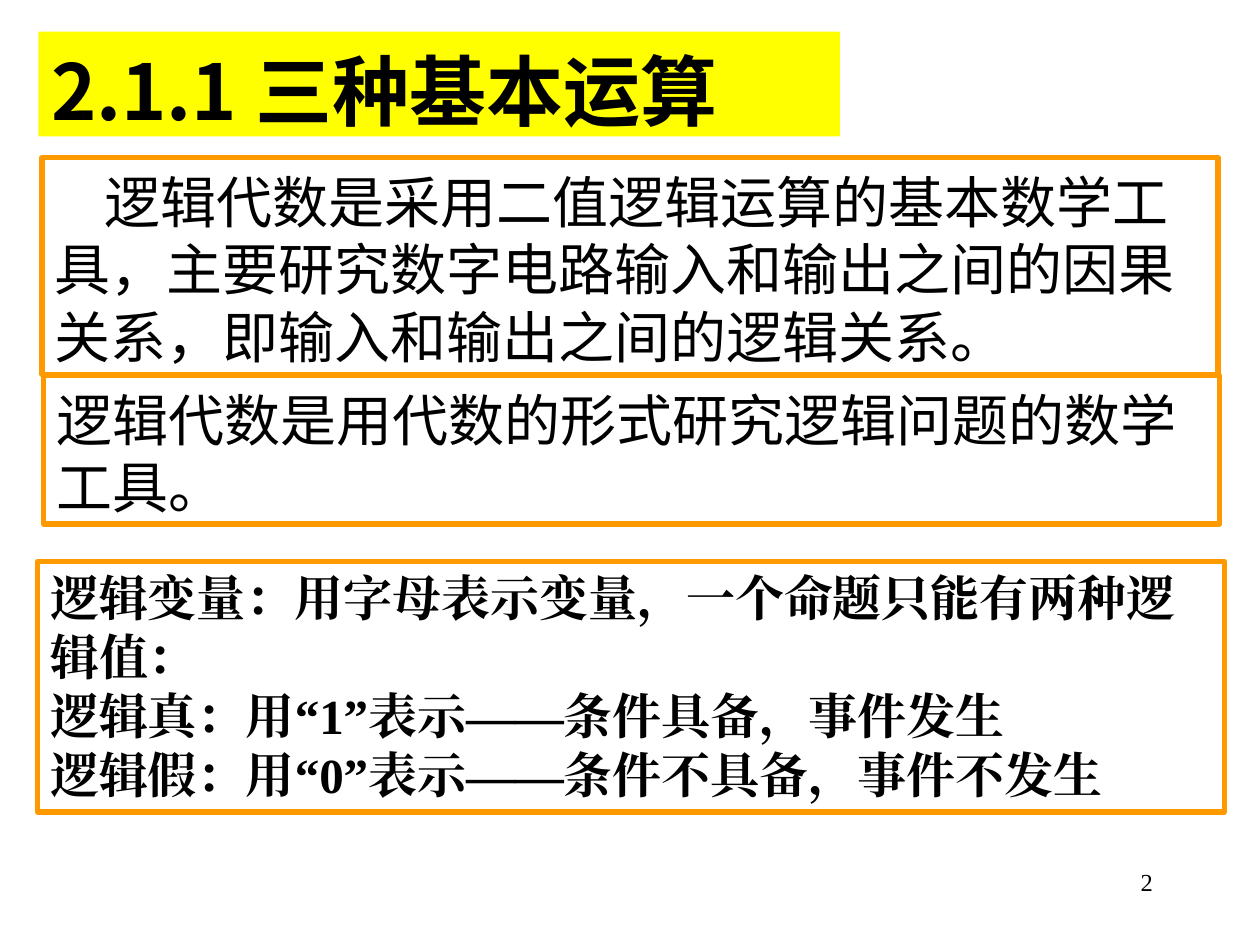
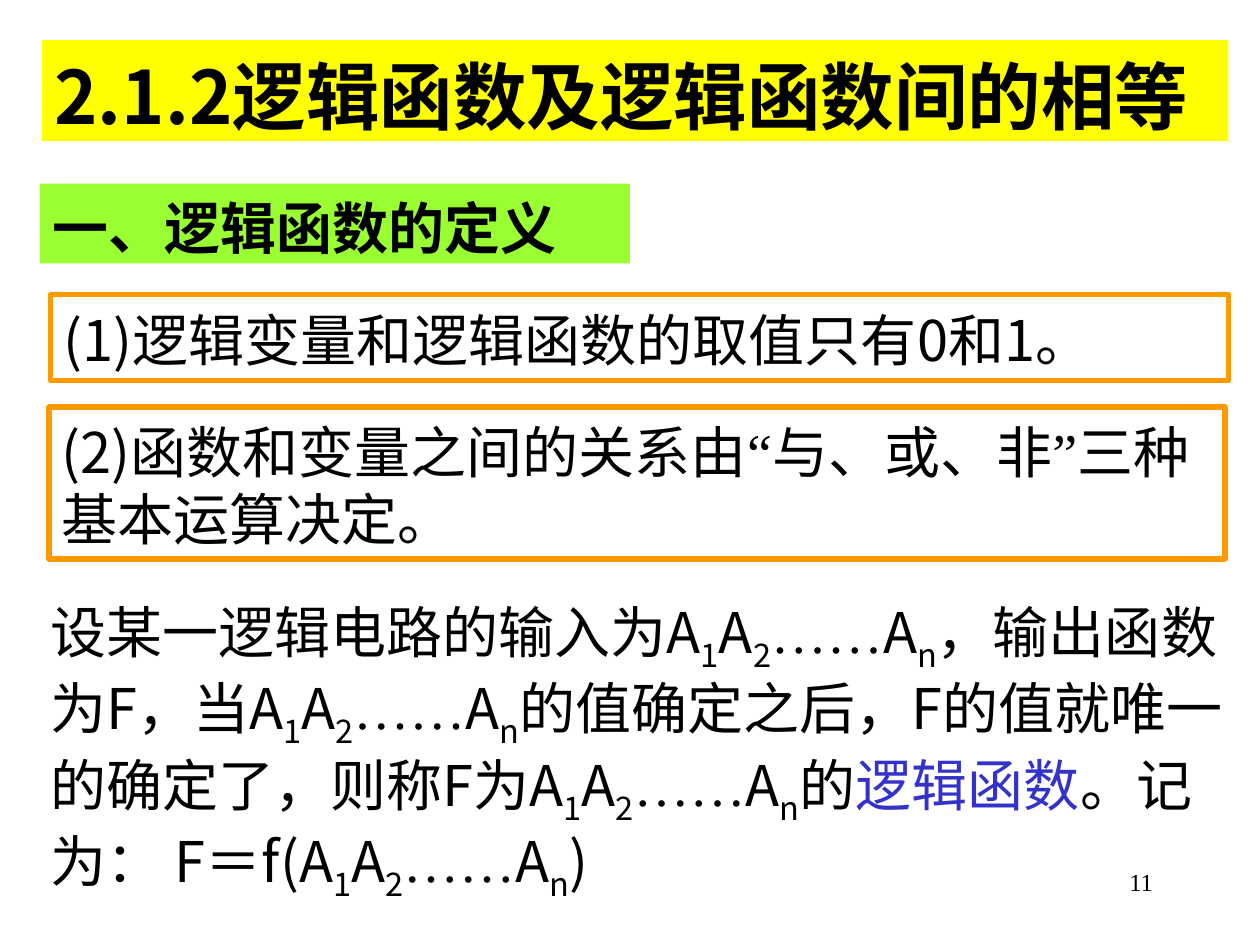
from dataclasses import dataclass
from typing import Any

from pptx import Presentation
from pptx.dml.color import RGBColor
from pptx.enum.shapes import MSO_SHAPE as Kind
from pptx.enum.text import MSO_ANCHOR as Anchor, MSO_AUTO_SIZE as Fit, PP_ALIGN as Align
from pptx.util import Pt

SANS, SERIF = "Noto Sans CJK SC", "Times New Roman"
BLACK, BLUE = "000000", "3333CC"
YELLOW, GREEN, ORANGE = "FFFF00", "99FF33", "FF9900"
INSET = 3.6
DROP = 0.07  # shift of the sans baseline, in ems

Part = tuple[str, dict[str, Any]]
Para = list[Part]


@dataclass
class Box:
    left: float
    top: float
    width: float
    height: float
    paras: list[Para]
    size: float = 32
    font: str = SANS
    bold: bool = False
    fill: str | None = None
    line: str | None = None
    indent: float = 0
    lead: float = 1.2


@dataclass
class Page:
    title: Box
    boxes: list[Box]
    number: str


def color(code: str) -> RGBColor:
    return RGBColor.from_string(code)


def plain(*lines: str) -> list[Para]:
    return [[(line, {})] for line in lines]


def add_run(para, text: str, size: float = 32, font: str = SANS, bold: bool = False,
            ink: str = BLACK, base: int = 0) -> None:
    """Add text in one format; base is the baseline shift in percent."""
    run = para.add_run()
    run.text = text
    run.font.size = Pt(size)
    run.font.bold = bold
    run.font.color.rgb = color(ink)
    run.font.name = font
    props = run._r.get_or_add_rPr()
    if base:
        props.set("baseline", str(base * 1000))
    latin = props.find("{*}latin")
    east = latin.makeelement(latin.tag.replace("latin", "ea"), {"typeface": font})
    latin.addnext(east)


def write(shape, box: Box, anchor: Anchor = Anchor.TOP, align: Align = Align.LEFT) -> None:
    frame = shape.text_frame
    frame.word_wrap = True
    frame.auto_size = Fit.NONE
    frame.vertical_anchor = anchor
    shift = DROP * box.size if box.font == SANS else 0
    frame.margin_left = frame.margin_right = Pt(2 * INSET)
    frame.margin_top = Pt(INSET + shift)
    frame.margin_bottom = Pt(INSET - shift)
    for i, parts in enumerate(box.paras):
        para = frame.add_paragraph() if i else frame.paragraphs[0]
        para.alignment = align
        para.line_spacing = Pt(box.lead * box.size)
        para.space_before = para.space_after = Pt(0)
        if box.indent:
            para._p.get_or_add_pPr().set("indent", str(Pt(box.indent)))
        for text, style in parts:
            add_run(para, text, **{"size": box.size, "font": box.font,
                                   "bold": box.bold, **style})


def place(box: Box) -> tuple[Pt, Pt, Pt, Pt]:
    return Pt(box.left), Pt(box.top), Pt(box.width), Pt(box.height)


def draw_title(slide, box: Box) -> None:
    shape = slide.shapes.title
    shape.left, shape.top, shape.width, shape.height = place(box)
    shape.fill.solid()
    shape.fill.fore_color.rgb = color(YELLOW)
    write(shape, box, Anchor.BOTTOM)


def draw_box(slide, box: Box) -> None:
    if not (box.fill or box.line):
        write(slide.shapes.add_textbox(*place(box)), box)
        return
    shape = slide.shapes.add_shape(Kind.RECTANGLE, *place(box))
    shape.shadow.inherit = False
    if box.fill:
        shape.fill.solid()
        shape.fill.fore_color.rgb = color(box.fill)
    else:
        shape.fill.background()
    if box.line:
        shape.line.color.rgb = color(box.line)
        shape.line.width = Pt(3)
    else:
        shape.line.fill.background()
    write(shape, box)


def draw_number(slide, text: str) -> None:
    box = Box(516, 492, 150, 36, plain(text), 14, SERIF)
    write(slide.shapes.add_textbox(*place(box)), box, align=Align.RIGHT)


def inputs(before: str) -> Para:
    """Text that ends in A, followed by the rest of the input list A1A2……An."""
    sub = {"base": -25}
    return [(before + "A", {}), ("1", sub), ("A", {}), ("2", sub),
            ("……", {"font": SERIF}), ("A", {}), ("n", sub)]


QUOTE = {"font": SERIF}
RULE = [("(2)函数和变量之间的关系由", {}), ("“", QUOTE), ("与、或、非", {}),
        ("”", QUOTE), ("三种基本运算决定。", {})]
MEANING = [
    *inputs("设某一逻辑电路的输入为"),
    *inputs("，输出函数为F，当"),
    *inputs("的值确定之后，F的值就唯一的确定了，则称F为"),
    ("的", {}), ("逻辑函数", {"ink": BLUE}),
    *inputs("。记为： F＝f("), (")", {}),
]

PAGES = [
    Page(
        Box(22, 18, 458, 60, plain("2.1.1 三种基本运算"), 44, bold=True),
        [
            Box(24, 90, 672, 124, plain(
                "逻辑代数是采用二值逻辑运算的基本数学工具，主要研究数字电路输入和输出之间的"
                "因果关系，即输入和输出之间的逻辑关系。"), line=ORANGE, indent=28.5),
            Box(21.6, 321, 678, 143, plain(
                "逻辑变量：用字母表示变量，一个命题只能有两种逻辑值：",
                "逻辑真：用“1”表示——条件具备，事件发生",
                "逻辑假：用“0”表示——条件不具备，事件不发生"),
                28, SERIF, True, line=ORANGE),
            Box(25, 214.5, 672, 85, plain(
                "逻辑代数是用代数的形式研究逻辑问题的数学工具。"), line=ORANGE),
        ],
        "2",
    ),
    Page(
        Box(24, 23, 678, 57.5, plain("2.1.2逻辑函数及逻辑函数间的相等"), 42, bold=True),
        [
            Box(23, 105, 337, 45.5, plain("一、逻辑函数的定义"), bold=True, fill=GREEN),
            Box(29, 168.5, 673, 49, plain("(1)逻辑变量和逻辑函数的取值只有0和1。"),
                line=ORANGE),
            Box(28, 232.5, 672, 87, [RULE], line=ORANGE),
            Box(21.6, 336, 690, 160.5, [MEANING], lead=1.36),
        ],
        "11",
    ),
]


def main() -> None:
    deck = Presentation()
    deck.slide_width, deck.slide_height = Pt(720), Pt(540)
    layout = deck.slide_layouts.get_by_name("Title Only")
    for page in PAGES:
        slide = deck.slides.add_slide(layout)
        draw_number(slide, page.number)
        draw_title(slide, page.title)
        for box in page.boxes:
            draw_box(slide, box)
    deck.save("out.pptx")


if __name__ == "__main__":
    main()
